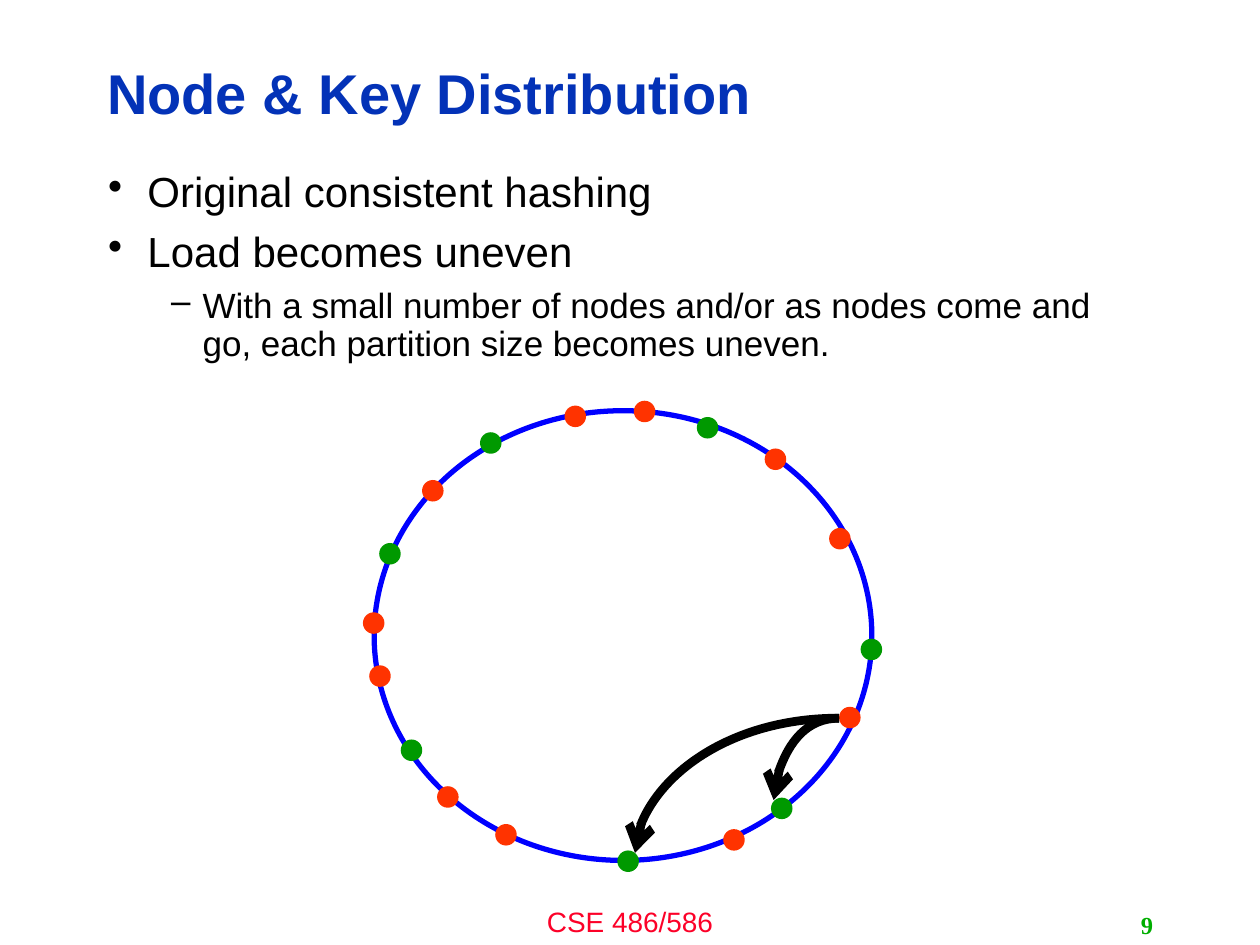
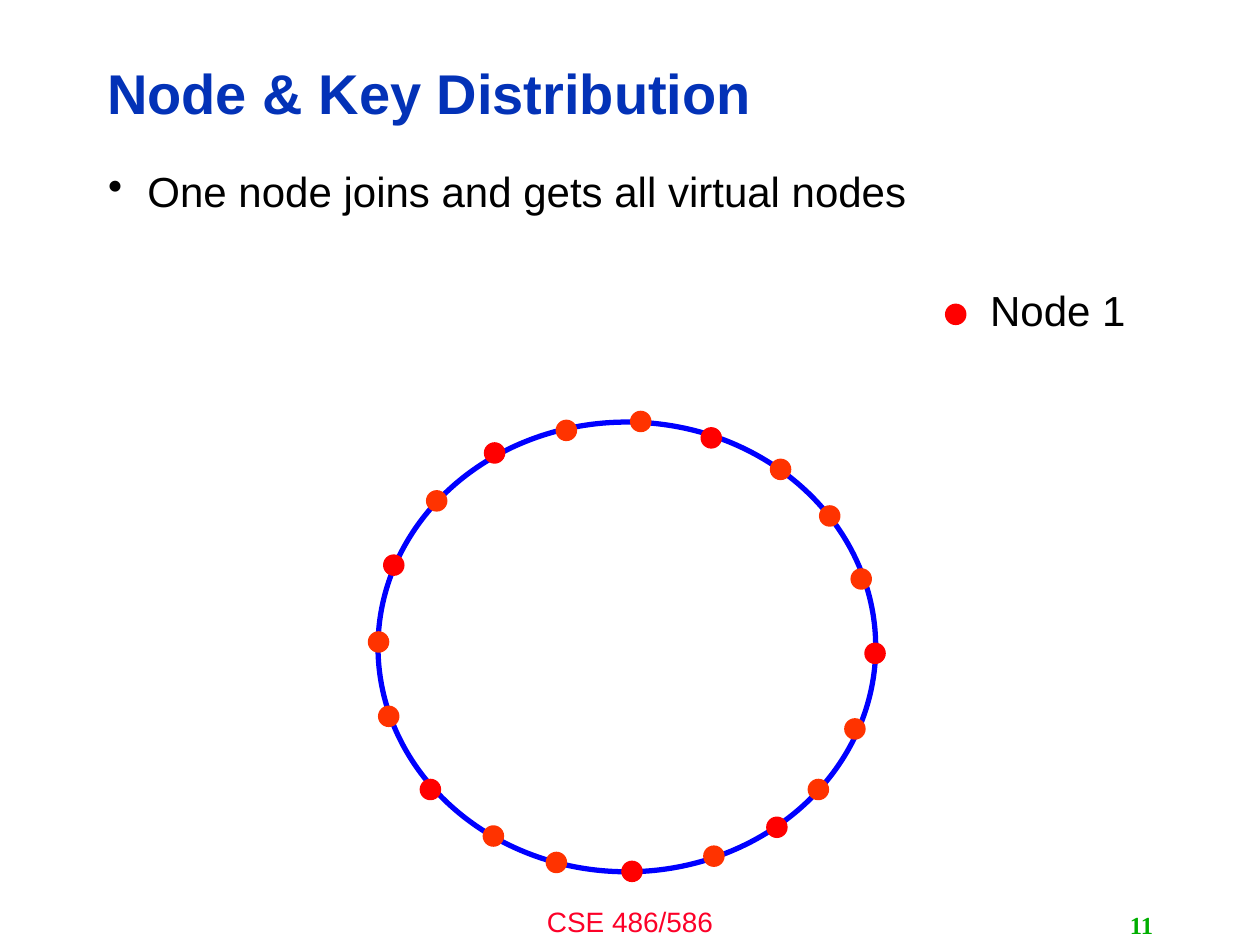
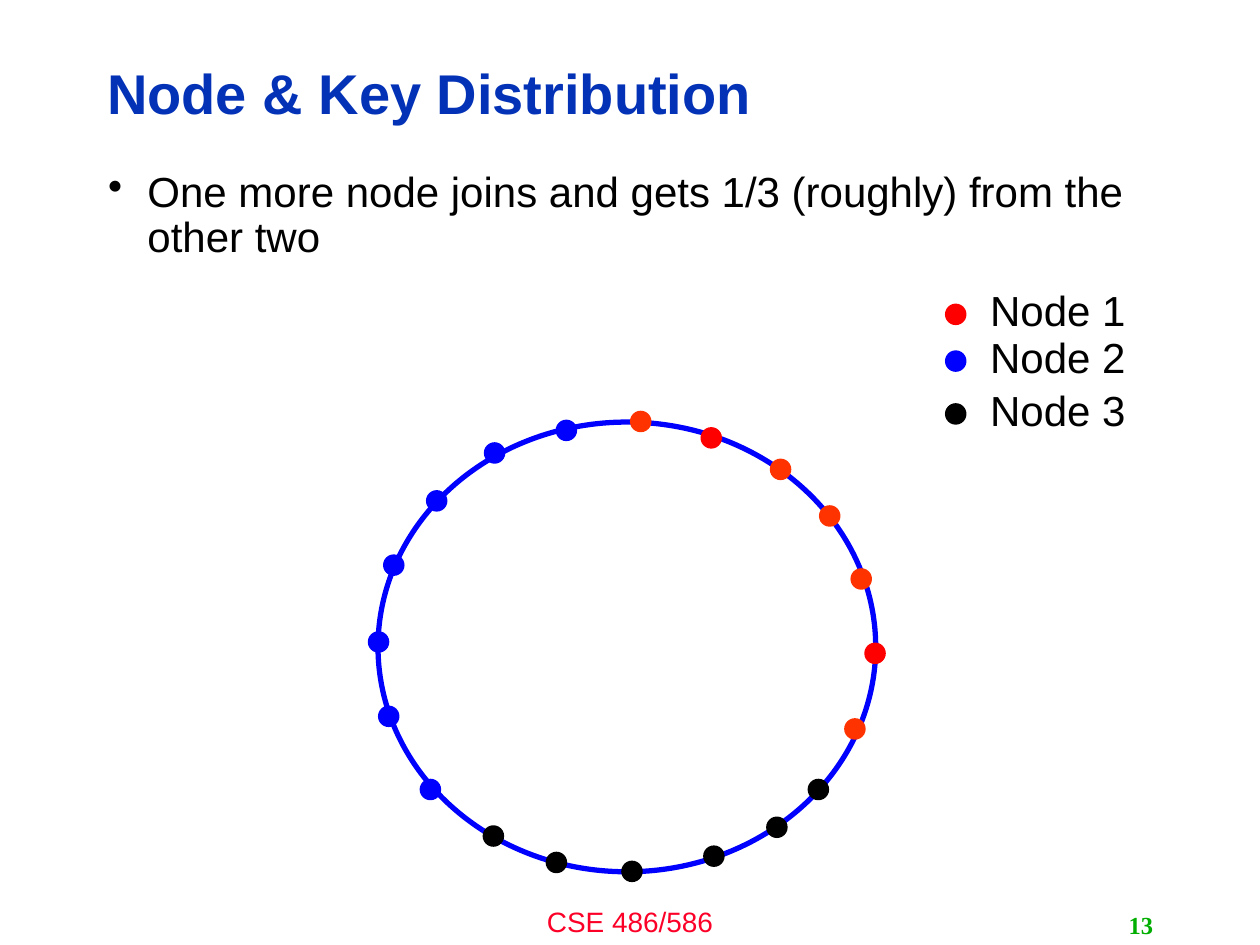
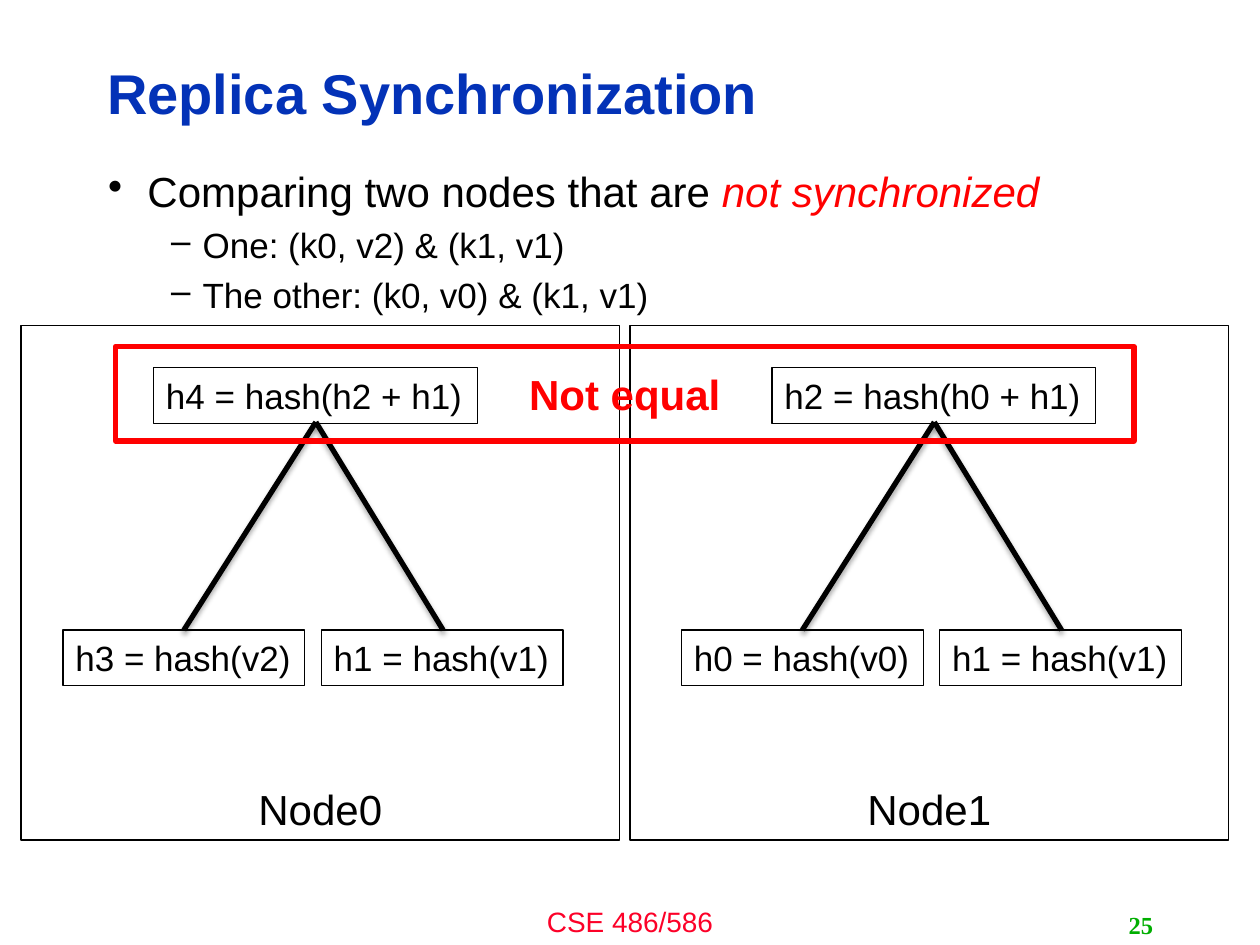
import lxml.etree
import pptx
import pptx.dml.color
import pptx.enum.shapes
import pptx.enum.text
import pptx.oxml.ns
import pptx.util

Pt = pptx.util.Pt
qn = pptx.oxml.ns.qn
ALIGN = pptx.enum.text.PP_ALIGN
ANCHOR = pptx.enum.text.MSO_ANCHOR
SHAPE = pptx.enum.shapes.MSO_SHAPE
LINK = pptx.enum.shapes.MSO_CONNECTOR

# Colours
NAVY, PINK, LIME = "0332B7", "FC0128", "00AE00"
BLACK, RED, BLUE = "000000", "FF0000", "0000FF"
DOTS = {"O": "FF3300", "R": RED, "G": "009900", "B": BLUE, "K": BLACK}
DOT = 12.3

# Bullet levels: sign, size, left edge, hang, space before
LEVELS = [("•", 24, 22.5, 22.5, 8.3), ("–", 20, 54, 18, 6.9)]

# Dots clockwise from the top of each ring, as left and top
LOAD = [(362.2, 229), (398.2, 238.3), (437, 256.3), (473.8, 301.7),
        (491.8, 365), (479.5, 403.9), (440.6, 455.8), (413.3, 473.8),
        (352.8, 486), (283, 470.9), (249.8, 449.3), (229, 422.6),
        (211, 380.2), (207.4, 349.9), (216.7, 310.3), (241.2, 274.3),
        (274.3, 247), (322.6, 231.8)]
SHARE = [(360, 234.7), (400.3, 244.1), (439.9, 262.1), (468, 288.7),
         (486, 324.7), (493.9, 367.2), (482.4, 410.4), (461.5, 445),
         (437.8, 466.6), (401.8, 483.1), (355, 491.8), (311.8, 486.7),
         (275.8, 471.6), (239.8, 445), (216, 403.2), (210.2, 360.7),
         (218.9, 316.8), (243.4, 280.1), (276.5, 252.7), (317.5, 239.8)]


def paint(color):
    return pptx.dml.color.RGBColor.from_string(color)


class Deck:
    def __init__(self):
        self.prs = pptx.Presentation()
        self.prs.slide_width, self.prs.slide_height = Pt(720), Pt(540)
        self.slide = None

    # Text
    def add_text(self, para, text, size, color=BLACK, bold=False,
                 italic=False, face="Arial"):
        run = para.add_run()
        run.text = text
        font = run.font
        font.name, font.size = face, Pt(size)
        font.bold, font.italic = bold, italic
        font.color.rgb = paint(color)

    def set_text(self, shape, text, size, color=BLACK, align=ALIGN.LEFT,
                 anchor=ANCHOR.TOP, wrap=True, **look):
        frame = shape.text_frame
        frame.word_wrap, frame.vertical_anchor = wrap, anchor
        para = frame.paragraphs[0]
        para.alignment = align
        self.add_text(para, text, size, color, **look)
        return para

    def label(self, box, text, size, color=BLACK, **look):
        shape = self.slide.shapes.add_textbox(*map(Pt, box))
        self.set_text(shape, text, size, color, **look)

    # Title, footer and number shared by all slides
    def start(self, title, number):
        self.slide = self.prs.slides.add_slide(self.prs.slide_layouts[5])
        self.label((240, 513.4, 240, 26.6), "CSE 486/586", 16, PINK,
                   align=ALIGN.CENTER)
        head = self.slide.shapes.title
        head.left, head.top, head.width, head.height = map(
            Pt, (54, 25.9, 574.6, 58.3))
        head.text_frame.auto_size = pptx.enum.text.MSO_AUTO_SIZE.NONE
        para = self.set_text(head, title, 32, NAVY, anchor=ANCHOR.MIDDLE,
                             bold=True)
        para.line_spacing = 0.9
        self.label((516.2, 517, 149.8, 23), str(number), 14, LIME,
                   align=ALIGN.RIGHT, anchor=ANCHOR.MIDDLE, bold=True,
                   face="Times New Roman")

    # Each item is a level followed by (text, look) pieces
    def points(self, *items):
        box = self.slide.shapes.add_textbox(*map(Pt, (54.7, 94.3, 604.8, 388)))
        frame = box.text_frame
        frame.word_wrap = True
        for i, (level, *parts) in enumerate(items):
            sign, size, left, hang, gap = LEVELS[level]
            para = frame.add_paragraph() if i else frame.paragraphs[0]
            props = para._p.get_or_add_pPr()
            props.set("marL", str(Pt(left)))
            props.set("indent", str(-Pt(hang)))
            lxml.etree.SubElement(props, qn("a:buChar"), char=sign)
            para.level, para.line_spacing = level, 0.9
            para.space_before = Pt(gap if i else 0)
            for text, look in parts:
                self.add_text(para, text, size, **look)

    # Shapes
    def shape(self, kind, box, fill=None, line=None, width=1):
        shape = self.slide.shapes.add_shape(kind, *map(Pt, box))
        shape.shadow.inherit = False
        if fill:
            shape.fill.solid()
            shape.fill.fore_color.rgb = paint(fill)
        else:
            shape.fill.background()
        if line:
            shape.line.color.rgb = paint(line)
            shape.line.width = Pt(width)
        else:
            shape.line.fill.background()
        return shape

    def dot(self, left, top, color):
        self.shape(SHAPE.OVAL, (left, top, DOT, DOT), fill=color)

    def ring(self, left, top, spots, code):
        self.shape(SHAPE.OVAL, (left, top, 284.4, 257), line=BLUE, width=3)
        for (x, y), key in zip(spots, code):
            self.dot(x, y, DOTS[key])

    def legend(self, *rows):
        for i, (top, color) in enumerate(rows, 1):
            self.dot(540, top, color)
            self.label((558, top - 14.4, 92.9, 36), f"Node {i}", 24,
                       align=ALIGN.CENTER, wrap=False)

    def panel(self, box, text, size, line=BLACK, width=1, **look):
        shape = self.shape(SHAPE.RECTANGLE, box, line=line, width=width)
        self.set_text(shape, text, size, line, **look)

    # Lines
    def link(self, kind, start, end, width):
        link = self.slide.shapes.add_connector(kind, *map(Pt, start + end))
        link.line.color.rgb = paint(BLACK)
        link.line.width = Pt(width)
        props = link._element.spPr
        return props, lxml.etree.SubElement(props, qn("a:effectLst"))

    def arc(self, start, end):
        props, _ = self.link(LINK.CURVE, start, end, 5)
        props.find(qn("a:prstGeom")).set("prst", "curvedConnector2")
        lxml.etree.SubElement(props.find(qn("a:ln")), qn("a:tailEnd"),
                              type="arrow")

    def branch(self, start, end):
        _, effect = self.link(LINK.STRAIGHT, start, end, 3)
        shade = lxml.etree.SubElement(
            effect, qn("a:outerShdw"), blurRad=str(Pt(3.1)),
            dist=str(Pt(1.8)), dir="5400000", rotWithShape="0")
        tint = lxml.etree.SubElement(shade, qn("a:srgbClr"), val=BLACK)
        lxml.etree.SubElement(tint, qn("a:alpha"), val="35000")

    # Hash tree: a root above two leaves
    def tree(self, x, root, *leaves):
        top, low = 241.2, 360
        for i, text in enumerate(leaves):
            self.panel((x + 147.6 * i, low, 138.2, 31.7), text, 20,
                       width=0.75, wrap=False)
        self.panel((x + 51.8, 210.2, 185, 31.7), root, 20, width=0.75,
                   wrap=False)
        for foot in (69.1, 217.2):
            self.branch((x + 144.5, top), (x + foot, low))


def main():
    deck = Deck()
    topic = "Node & Key Distribution"

    # Uneven load
    deck.start(topic, 9)
    deck.points(
        (0, ("Original consistent hashing", {})),
        (0, ("Load becomes uneven", {})),
        (1, ("With a small number of nodes and/or as nodes come and go, "
             "each partition size becomes uneven.", {})))
    deck.ring(213.8, 234.7, LOAD, "OGOOGOGOGOOGOOGOGO")
    for end in ((442.1, 457.2), (362.9, 487.4)):
        deck.arc((479.5, 410.4), end)

    # One node
    deck.start(topic, 11)
    deck.points((0, ("One node joins and gets all virtual nodes", {})))
    deck.ring(216, 241.2, SHARE, "OROOOROOROROOROORORO")
    deck.legend((173.5, RED))

    # Three nodes
    deck.start(topic, 13)
    deck.points((0, ("One more node joins and gets 1/3 (roughly) from the "
                     "other two", {})))
    deck.ring(216, 241.2, SHARE, "OROOORO" + "K" * 6 + "B" * 7)
    deck.legend((173.5, RED), (200.2, BLUE), (230.4, BLACK))

    # Replica trees
    deck.start("Replica Synchronization", 25)
    deck.points(
        (0, ("Comparing two nodes that are ", {}),
         ("not synchronized", {"color": RED, "italic": True})),
        (1, ("One: (k0, v2) & (k1, v1)", {})),
        (1, ("The other: (k0, v0) & (k1, v1)", {})))
    deck.tree(36, "h4 = hash(h2 + h1)", "h3 = hash(v2)", "h1 = hash(v1)")
    deck.tree(389.4, "h2 = hash(h0 + h1)", "h0 = hash(v0)", "h1 = hash(v1)")
    for i in range(2):
        deck.panel((12 + 348 * i, 186, 342, 294), f"Node{i}", 24,
                   align=ALIGN.CENTER, anchor=ANCHOR.BOTTOM)
    deck.panel((66, 198, 582, 54), "Not equal", 24, RED, 3, bold=True,
               align=ALIGN.CENTER, anchor=ANCHOR.MIDDLE)

    deck.prs.save("out.pptx")


if __name__ == "__main__":
    main()
